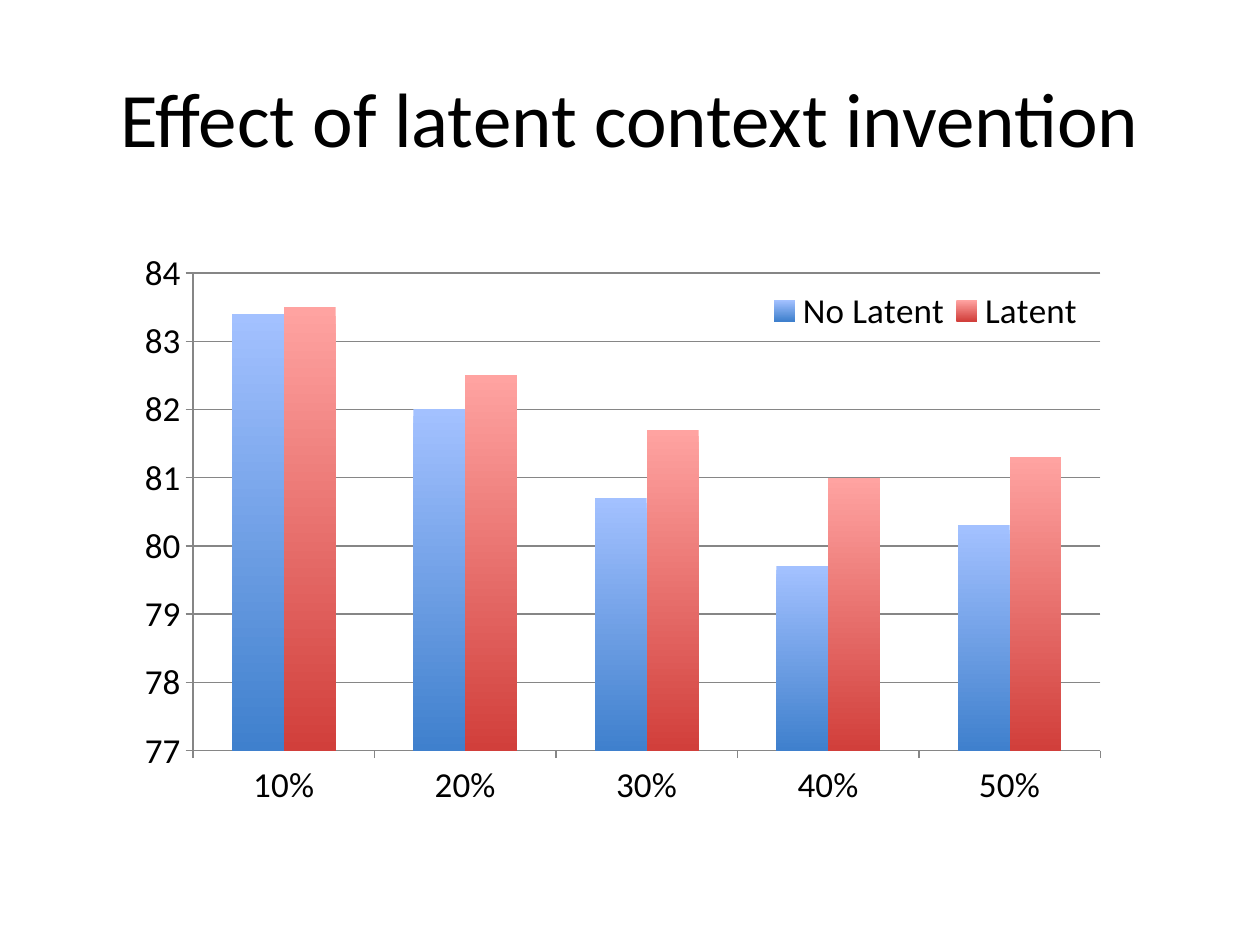
import pptx
import pptx.chart.data
import pptx.dml.color
import pptx.enum.chart
import pptx.enum.text
import pptx.util
from lxml import etree

FONT = "Calibri"
CATEGORIES = [0.1, 0.2, 0.3, 0.4, 0.5]
SERIES = [
    ("No Latent", [83.4, 82, 80.7, 79.7, 80.3], ("A3C1FF", "3F80CD")),
    ("Latent", [83.5, 82.5, 81.7, 81, 81.3], ("FFA3A1", "D13F3B")),
]
PLOT = (0.073, 0.06, 0.888, 0.822)
LEGEND = (0.63, 0.08, 0.32, 0.09)


def color(value):
    """Return the colour for a hex string."""
    return pptx.dml.color.RGBColor.from_string(value)


def style(font, size):
    """Set the slide's typeface in black at a size."""
    font.name, font.size = FONT, pptx.util.Pt(size)
    font.color.rgb = color("000000")


def set_layout(element, box, inner=False):
    """Fix a chart part at shares of the chart's size."""
    layout = element.get_or_add_layout() if hasattr(element, "get_or_add_layout") else element.find("{*}layout")
    ns = etree.QName(element).namespace
    if layout is None:
        layout = etree.Element(f"{{{ns}}}layout")
        element.insert(0, layout)
    for child in list(layout):
        layout.remove(child)
    manual = etree.SubElement(layout, f"{{{ns}}}manualLayout")
    values = [("layoutTarget", "inner")] if inner else []
    values += [("xMode", "edge"), ("yMode", "edge"), *zip("xywh", map(str, box))]
    for tag, value in values:
        etree.SubElement(manual, f"{{{ns}}}{tag}").set("val", value)


def add_title(s, box, text):
    """Place the centred title in its box."""
    tf = s.shapes.add_textbox(*box).text_frame
    tf.word_wrap = True
    tf.vertical_anchor = pptx.enum.text.MSO_ANCHOR.MIDDLE
    p = tf.paragraphs[0]
    p.text = text
    p.alignment = pptx.enum.text.PP_ALIGN.CENTER
    style(p.font, 44)


def add_column_chart(s, box):
    """Place the clustered columns in their box."""
    data = pptx.chart.data.CategoryChartData(number_format="General")
    data.categories = CATEGORIES
    data.categories.number_format = "0%"
    for name, values, _ in SERIES:
        data.add_series(name, values)
    kind = pptx.enum.chart.XL_CHART_TYPE.COLUMN_CLUSTERED
    chart = s.shapes.add_chart(kind, *box, data).chart
    style(chart.font, 20)
    chart.has_title = False

    plot = chart.plots[0]
    plot.gap_width, plot.overlap, plot.vary_by_categories = 150, 0, False
    for series, (_, _, shades) in zip(plot.series, SERIES):
        fill = series.format.fill
        fill.gradient()
        fill.gradient_angle = 270
        for stop, shade in zip(fill.gradient_stops, shades):
            stop.color.rgb = color(shade)
        series.format.line.fill.background()

    value_axis, category_axis = chart.value_axis, chart.category_axis
    value_axis.minimum_scale, value_axis.maximum_scale, value_axis.major_unit = 77, 84, 1
    value_axis.has_major_gridlines = True
    for axis, number_format in ((value_axis, "General"), (category_axis, "0%")):
        axis.major_tick_mark = pptx.enum.chart.XL_TICK_MARK.OUTSIDE
        axis.tick_labels.number_format = number_format
        axis.tick_labels.number_format_is_linked = False
    for part in (value_axis, category_axis, value_axis.major_gridlines):
        part.format.line.color.rgb = color("868686")
        part.format.line.width = pptx.util.Pt(0.75)

    chart.has_legend = True
    legend = chart.legend
    legend.position = pptx.enum.chart.XL_LEGEND_POSITION.RIGHT
    legend.include_in_layout = True
    style(legend.font, 20)
    set_layout(legend._element, LEGEND)
    set_layout(chart._chartSpace.chart.plotArea, PLOT, inner=True)


def main():
    """Build the slide and save it."""
    prs = pptx.Presentation()
    prs.slide_width, prs.slide_height = pptx.util.Inches(10), pptx.util.Inches(7.5)
    s = prs.slides.add_slide(prs.slide_layouts[6])

    def region(x, y, w, h):
        """Turn shares of the slide into a box."""
        width, height = prs.slide_width, prs.slide_height
        return int(x * width), int(y * height), int(w * width), int(h * height)

    add_title(s, region(0.05, 0.04, 0.9, 0.167), "Effect of latent context invention")
    add_column_chart(s, region(0.094, 0.252, 0.811, 0.615))
    prs.save("out.pptx")


if __name__ == "__main__":
    main()
